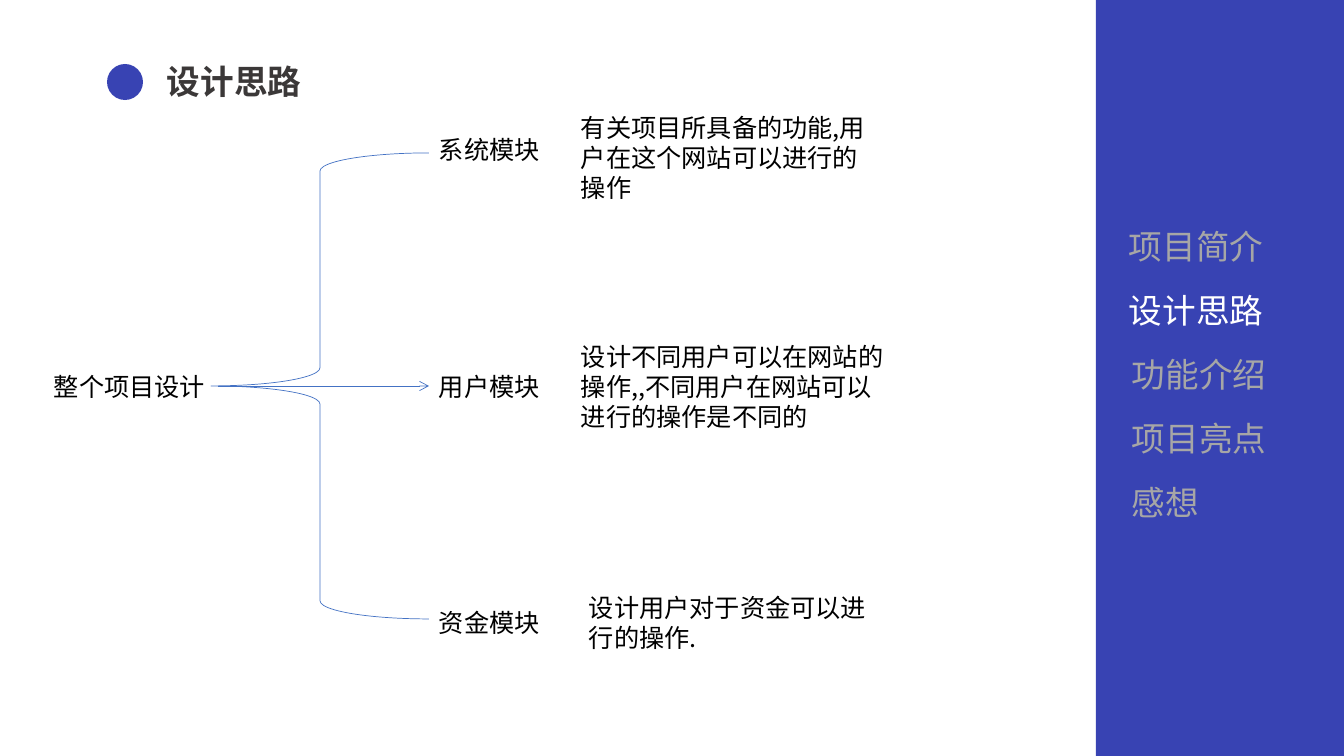
from lxml import etree
from pptx import Presentation
from pptx.dml.color import RGBColor
from pptx.enum.shapes import MSO_CONNECTOR, MSO_SHAPE
from pptx.enum.text import MSO_AUTO_SIZE
from pptx.oxml.ns import qn
from pptx.util import Emu, Pt

STRAIGHT = MSO_CONNECTOR.STRAIGHT
RECTANGLE = MSO_SHAPE.RECTANGLE
OVAL = MSO_SHAPE.OVAL
LEFT_BRACE = MSO_SHAPE.LEFT_BRACE
GROW = MSO_AUTO_SIZE.SHAPE_TO_FIT_TEXT

INDIGO = RGBColor(0x38, 0x43, 0xB3)
BLUE = RGBColor(0x44, 0x72, 0xC4)
CHARCOAL = RGBColor(0x3B, 0x38, 0x38)
GREY = RGBColor(0xA6, 0xA6, 0xA6)
WHITE = RGBColor(0xFF, 0xFF, 0xFF)
BLACK = RGBColor(0, 0, 0)

LEFT, RIGHT = 1, 3


def px(length):
    return Emu(round(length * 914400 / 100.8))


class SlideBuilder:
    font_name = "Noto Sans CJK SC"
    line_width = Pt(0.5)

    def __init__(self, slide):
        self.slide = slide

    def text(self, wording, left, top, width, height, size=18, color=BLACK, bold=False):
        box = self.slide.shapes.add_textbox(px(left), px(top), px(width), px(height))
        frame = box.text_frame
        frame.word_wrap = True
        frame.auto_size = GROW
        paragraph = frame.paragraphs[0]
        paragraph.text = wording
        font = paragraph.font
        font.name = self.font_name
        font.size = Pt(size)
        font.bold = bold
        font.color.rgb = color
        properties = paragraph._p.pPr.find(qn("a:defRPr"))
        etree.SubElement(properties, qn("a:ea"), typeface=self.font_name)
        return box

    def shape(self, kind, left, top, width, height, fill=None, line=None):
        shape = self.slide.shapes.add_shape(kind, px(left), px(top), px(width), px(height))
        shape.shadow.inherit = False
        if fill is None:
            shape.fill.background()
        else:
            shape.fill.solid()
            shape.fill.fore_color.rgb = fill
        if line is None:
            shape.line.fill.background()
        else:
            shape.line.color.rgb = line
            shape.line.width = self.line_width

    def arrow(self, source, target, color):
        arrow = self.slide.shapes.add_connector(STRAIGHT, 0, 0, 0, 0)
        arrow.begin_connect(source, RIGHT)
        arrow.end_connect(target, LEFT)
        arrow.line.color.rgb = color
        arrow.line.width = self.line_width
        etree.SubElement(arrow.line._get_or_add_ln(), qn("a:tailEnd"), type="arrow")
        etree.SubElement(arrow._element.spPr, qn("a:effectLst"))


def main():
    deck = Presentation()
    deck.slide_width, deck.slide_height = px(1344), px(756)
    builder = SlideBuilder(deck.slides.add_slide(deck.slide_layouts[6]))

    builder.shape(RECTANGLE, 1096, 0, 248, 756, fill=INDIGO)
    builder.text("设计思路", 157, 56, 293, 50, size=24, color=CHARCOAL, bold=True)
    builder.shape(OVAL, 107, 64, 36, 36, fill=INDIGO)

    current = "设计思路"
    menu = [("项目简介", 1119), (current, 1119), ("功能介绍", 1122), ("项目亮点", 1122), ("感想", 1122)]
    for row, (section, left) in enumerate(menu):
        color = WHITE if section == current else GREY
        builder.text(section, left, 221 + 64 * row, 197, 50, size=24, color=color)

    builder.shape(LEFT_BRACE, 211, 153, 218, 466, line=BLUE)
    project = builder.text("整个项目设计", 44, 366, 174, 40)
    builder.text("系统模块", 429, 129, 167, 40)
    user_module = builder.text("用户模块", 429, 366, 141, 40)
    builder.text("资金模块", 429, 602, 130, 40)
    builder.arrow(project, user_module, BLUE)

    builder.text("有关项目所具备的功能,用户在这个网站可以进行的操作", 571, 107, 318, 102)
    builder.text("设计不同用户可以在网站的操作,,不同用户在网站可以进行的操作是不同的", 571, 336, 326, 102)
    builder.text("设计用户对于资金可以进行的操作.", 579, 587, 318, 72)

    deck.save("out.pptx")


if __name__ == "__main__":
    main()
